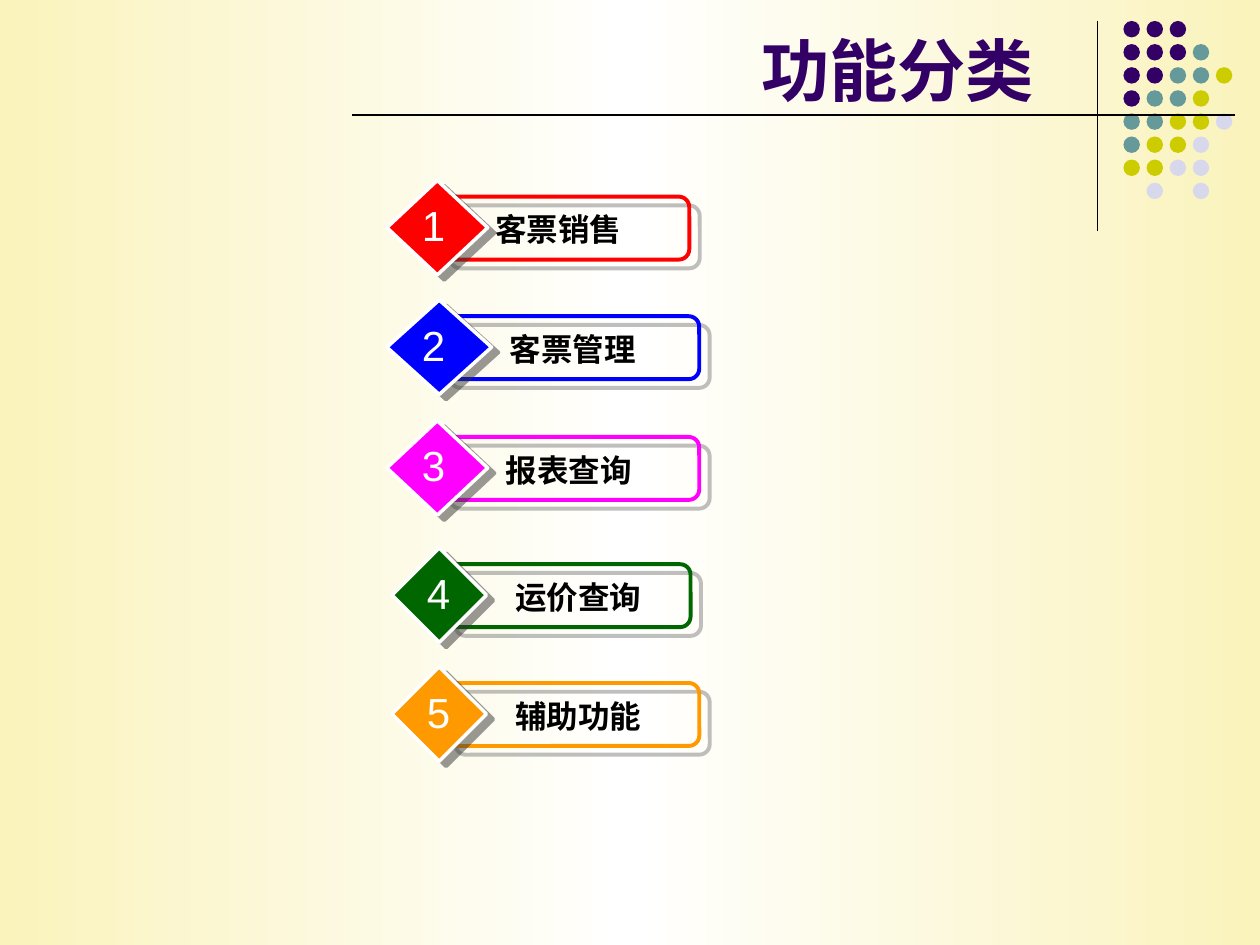
"""Build the slide listing the five function categories."""
import copy

import pptx
import pptx.dml.color
import pptx.enum.shapes
import pptx.enum.text
import pptx.oxml
import pptx.oxml.ns
import pptx.util

Pt = pptx.util.Pt
RGBColor = pptx.dml.color.RGBColor
MSO_SHAPE = pptx.enum.shapes.MSO_SHAPE
PP_ALIGN = pptx.enum.text.PP_ALIGN

BLACK = RGBColor(0x00, 0x00, 0x00)
WHITE = RGBColor(0xFF, 0xFF, 0xFF)
CREAM = RGBColor(0xFA, 0xF3, 0xBC)
PURPLE = RGBColor(0x33, 0x00, 0x66)
TEAL = RGBColor(0x66, 0x99, 0x99)
OLIVE = RGBColor(0xCC, 0xCC, 0x00)
LAVENDER = RGBColor(0xD8, 0xD8, 0xEC)
RED = RGBColor(0xFF, 0x00, 0x00)
BLUE = RGBColor(0x00, 0x00, 0xFF)
MAGENTA = RGBColor(0xFF, 0x00, 0xFF)
GREEN = RGBColor(0x00, 0x66, 0x00)
ORANGE = RGBColor(0xFF, 0x99, 0x00)
LIGHT_SHADOW = RGBColor(0x80, 0x80, 0x80)
DARK_SHADOW = RGBColor(0x33, 0x33, 0x33)


def add_shadow(shape, color, distance, degrees):
    namespace = pptx.oxml.ns.nsdecls("a")
    shape.element.spPr.append(pptx.oxml.parse_xml(
        f'<a:effectLst {namespace}><a:outerShdw blurRad="0" dist="{Pt(distance)}" '
        f'dir="{degrees * 60000}" algn="ctr" rotWithShape="0"><a:srgbClr val="{color}">'
        '<a:alpha val="50000"/></a:srgbClr></a:outerShdw></a:effectLst>'))


def add_text(text, left, top, width, height, wrap, font_name, size, bold, color):
    box = slide.shapes.add_textbox(Pt(left), Pt(top), Pt(width), Pt(height))
    box.text_frame.word_wrap = wrap
    box.text_frame.auto_size = pptx.enum.text.MSO_AUTO_SIZE.SHAPE_TO_FIT_TEXT
    paragraph = box.text_frame.paragraphs[0]
    paragraph.text = text
    paragraph.alignment = PP_ALIGN.CENTER
    paragraph.font.name = font_name
    paragraph.font.size = Pt(size)
    paragraph.font.bold = bold
    paragraph.font.color.rgb = color


presentation = pptx.Presentation()
presentation.slide_width = Pt(720)
presentation.slide_height = Pt(540)
slide = presentation.slides.add_slide(presentation.slide_layouts[5])

background = slide.background.fill
background.gradient()
background.gradient_angle = 0
first_stop = next(slide.element.iter(pptx.oxml.ns.qn("a:gs")))
first_stop.addnext(copy.deepcopy(first_stop))
for stop, position, color in zip(background.gradient_stops, (0, 0.5, 1), (CREAM, WHITE, CREAM)):
    stop.position = position
    stop.color.rgb = color

title = slide.shapes.title
title.left, title.top, title.width, title.height = Pt(427.7), Pt(9.4), Pt(193.7), Pt(56.9)
title.text_frame.text = "功能分类"
title.text_frame.vertical_anchor = pptx.enum.text.MSO_ANCHOR.BOTTOM
title.text_frame.auto_size = pptx.enum.text.MSO_AUTO_SIZE.NONE
paragraph = title.text_frame.paragraphs[0]
paragraph.alignment = PP_ALIGN.LEFT
paragraph.font.name = "Arial"
paragraph.font.size = Pt(39)
paragraph.font.bold = True
paragraph.font.color.rgb = PURPLE

DOT_COLORS = {"P": PURPLE, "T": TEAL, "O": OLIVE, "L": LAVENDER}
DOT_ROWS = ["PPP", "PPPT", "PPTTO", "PTTO", "TTOOL", "TOOL", "OOLL", " L L"]
dots = slide.shapes.add_group_shape()
for row, codes in enumerate(DOT_ROWS):
    for column, code in enumerate(codes):
        if code in DOT_COLORS:
            dot = dots.shapes.add_shape(
                MSO_SHAPE.OVAL, Pt(642 + 13.2 * column), Pt(12 + 13.2 * row), Pt(9.4), Pt(9.4))
            dot.shadow.inherit = False
            dot.fill.solid()
            dot.fill.fore_color.rgb = DOT_COLORS[code]
            dot.line.fill.background()

for x1, y1, x2, y2 in [(627, 12, 627, 132), (201.3, 65.8, 705.8, 65.8)]:
    rule = slide.shapes.add_connector(
        pptx.enum.shapes.MSO_CONNECTOR.STRAIGHT, Pt(x1), Pt(y1), Pt(x2), Pt(y2))
    rule.line.color.rgb = BLACK
    rule.line.width = Pt(0.75)
    rule.element.spPr.append(
        pptx.oxml.parse_xml(f'<a:effectLst {pptx.oxml.ns.nsdecls("a")}/>'))

CATEGORIES = [
    ("客票销售", RED, "Arial", 251.3, 112.4, 142.6, 57.6, 99.4),
    ("客票管理", BLUE, "Times New Roman", 251.3, 180.7, 148.3, 59.8, 115.9),
    ("报表查询", MAGENTA, "Times New Roman", 251.3, 249.7, 148.3, 57.6, 111.6),
    ("运价查询", GREEN, "Times New Roman", 254.2, 322.4, 140.4, 54, 116.6),
    ("辅助功能", ORANGE, "Times New Roman", 254.2, 390.3, 145.4, 54, 116.6),
]
for number, category in enumerate(CATEGORIES, start=1):
    label, color, font_name, left, top, frame_width, diamond_width, label_width = category

    frame = slide.shapes.add_shape(
        MSO_SHAPE.ROUNDED_RECTANGLE, Pt(left), Pt(top), Pt(frame_width), Pt(36))
    frame.adjustments[0] = 0.167
    frame.fill.background()
    frame.line.color.rgb = color
    frame.line.width = Pt(2.25)
    add_shadow(frame, LIGHT_SHADOW, 7.8, 40)

    diamond = slide.shapes.add_shape(
        MSO_SHAPE.DIAMOND, Pt(left - 30.2), Pt(top - 9.3), Pt(diamond_width), Pt(54))
    diamond.fill.solid()
    diamond.fill.fore_color.rgb = color
    diamond.line.color.rgb = WHITE
    diamond.line.width = Pt(2)
    add_shadow(diamond, DARK_SHADOW, 5, 37)

    add_text(label, left + 18, top + 4.3, label_width, 29, True, font_name, 18, True, BLACK)
    add_text(str(number), left - 17.3, top - 1.8, 27.4, 36, False, "Arial", 24, False, WHITE)

presentation.save("out.pptx")
